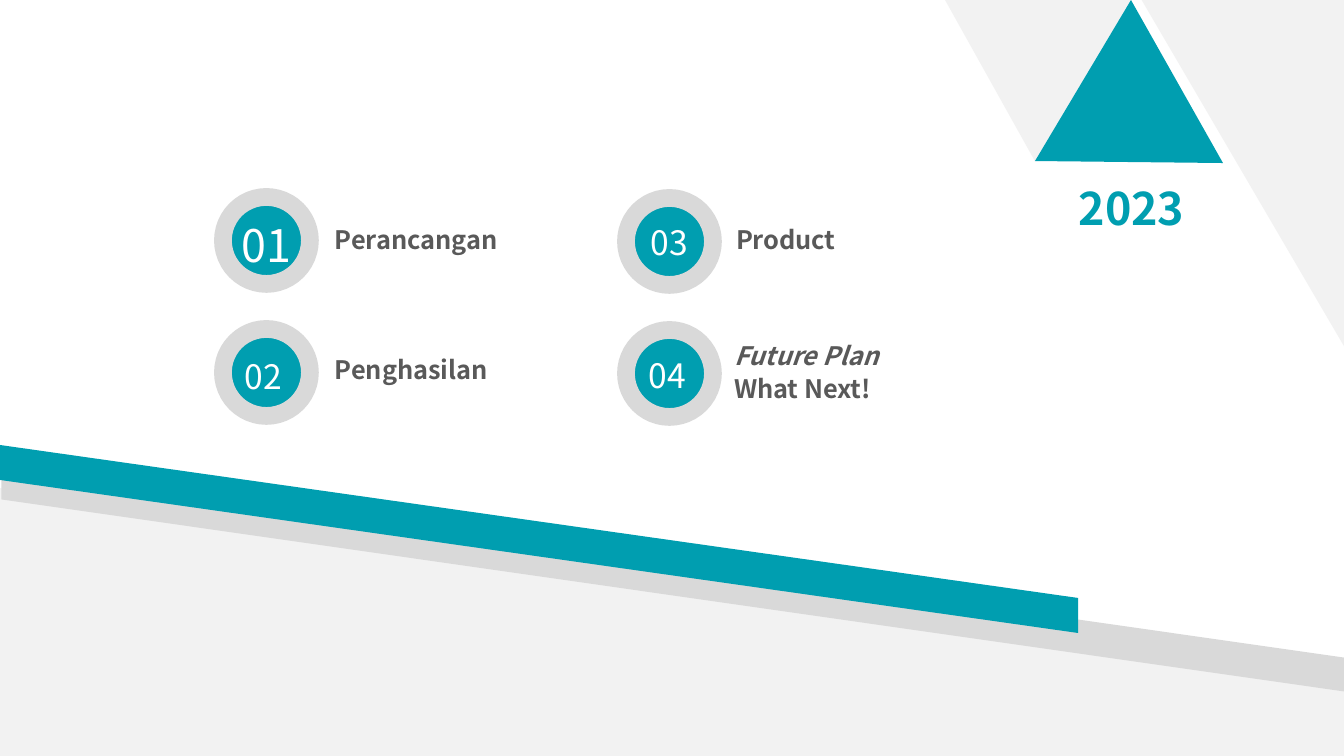
import pptx
import pptx.util
import pptx.dml.color
import pptx.enum.shapes
import pptx.enum.text
from dataclasses import dataclass

SCALE = 914400 / 134.4  # EMU in one px
KIND = pptx.enum.shapes.MSO_SHAPE
ALIGN = pptx.enum.text.PP_ALIGN
ANCHOR = pptx.enum.text.MSO_ANCHOR


@dataclass(frozen=True)
class Theme:
    teal: str = "009EB0"
    pale: str = "F2F2F2"
    grey: str = "D9D9D9"
    dark: str = "595959"
    white: str = "FFFFFF"
    font: str = "Noto Sans CJK SC"
    year: float = 24
    first: float = 24
    number: float = 18
    label: float = 13.6
    ring: float = 9.5


@dataclass(frozen=True)
class Panel:
    color: str
    points: tuple


@dataclass(frozen=True)
class Label:
    text: str
    left: int
    top: int
    italic: bool = False


@dataclass(frozen=True)
class Topic:
    number: str
    size: float
    box: tuple  # number box: left, top, width, height
    labels: tuple


THEME = Theme()
FLUSH = {"margin_left": 0, "margin_top": 0,
         "margin_right": 0, "margin_bottom": 0}

CORNER = (
    Panel(THEME.pale, ((944, -2), (1035, 161), (1131, 0))),
    Panel(THEME.teal, ((1223, 163), (1131, 0), (1035, 161))),
    Panel(THEME.pale, ((1141, -1), (1345, -1), (1345, 348))),
)
FLOOR = Panel(THEME.pale, ((0, 756), (0, 488), (1344, 679), (1344, 756)))
STRIPE = Panel(THEME.teal, ((0, 480), (0, 445), (1078, 598), (1078, 633)))

# Topics run down each column in turn
TOPICS = (
    Topic("01", THEME.first, (230, 206, 73, 78),
          (Label("Perancangan", 283, 228),)),
    Topic("02", THEME.number, (224, 337, 79, 78),
          (Label("Penghasilan", 283, 358),)),
    Topic("03", THEME.number, (629, 203, 81, 78),
          (Label("Product", 684, 228),)),
    Topic("04", THEME.number, (628, 336, 79, 78),
          (Label("Future Plan", 682, 344, True),
           Label("What Next!", 682, 377))),
)


def px(value: int) -> int:
    return round(value * SCALE)


def rgb(color: str) -> pptx.dml.color.RGBColor:
    return pptx.dml.color.RGBColor.from_string(color)


def paint(shape, color: str) -> None:
    shape.shadow.inherit = False
    shape.fill.solid()
    shape.fill.fore_color.rgb = rgb(color)
    shape.line.fill.background()


def draw_panel(slide, panel: Panel) -> None:
    start, *rest = panel.points
    build = slide.shapes.build_freeform(*start, scale=SCALE)
    build.add_line_segments(rest, close=True)
    paint(build.convert_to_shape(), panel.color)


def draw_text(slide, text: str, box: tuple, style: dict, color: str,
              frame: dict, align=ALIGN.LEFT) -> None:
    area = slide.shapes.add_textbox(*map(px, box)).text_frame
    for name, value in {**FLUSH, **frame}.items():
        setattr(area, name, value)
    line = area.paragraphs[0]
    line.alignment = align
    run = line.add_run()
    run.text = text
    for name, value in {"name": THEME.font, **style}.items():
        setattr(run.font, name, value)
    run.font.color.rgb = rgb(color)


def draw_topic(slide, topic: Topic, col: int, row: int) -> None:
    # Ringed disc
    spot = (223 + 403 * col, 197 + 132 * row + col, 87, 87)
    disc = slide.shapes.add_shape(KIND.OVAL, *map(px, spot))
    paint(disc, THEME.teal)
    disc.line.color.rgb = rgb(THEME.grey)
    disc.line.width = pptx.util.Pt(THEME.ring)

    # Number and labels
    draw_text(slide, topic.number, topic.box,
              {"size": pptx.util.Pt(topic.size)}, THEME.white,
              {"word_wrap": False, "vertical_anchor": ANCHOR.MIDDLE},
              ALIGN.CENTER)
    for label in topic.labels:
        draw_text(slide, label.text, (label.left, label.top, 437, 27),
                  {"size": pptx.util.Pt(THEME.label), "bold": True,
                   "italic": label.italic}, THEME.dark,
                  {"word_wrap": False, "vertical_anchor": ANCHOR.BOTTOM,
                   "margin_left": px(52)})


def main() -> None:
    deck = pptx.Presentation()
    deck.slide_width, deck.slide_height = px(1344), px(756)
    slide = deck.slides.add_slide(deck.slide_layouts[6])

    # Corner triangles and sloping floor
    for panel in (*CORNER, FLOOR):
        draw_panel(slide, panel)

    # Grey band under the teal stripe
    band = slide.shapes.add_shape(
        KIND.PARALLELOGRAM, *map(px, (560, -93, 226, 1343)))
    band.adjustments[0] = 0.85
    band.rotation = 270
    paint(band, THEME.grey)
    draw_panel(slide, STRIPE)

    # Year
    draw_text(slide, "2023", (843, 181, 577, 54),
              {"size": pptx.util.Pt(THEME.year), "bold": True}, THEME.teal,
              {"word_wrap": True}, ALIGN.CENTER)

    # Topics
    for index, topic in enumerate(TOPICS):
        draw_topic(slide, topic, *divmod(index, 2))

    deck.save("out.pptx")


if __name__ == "__main__":
    main()
